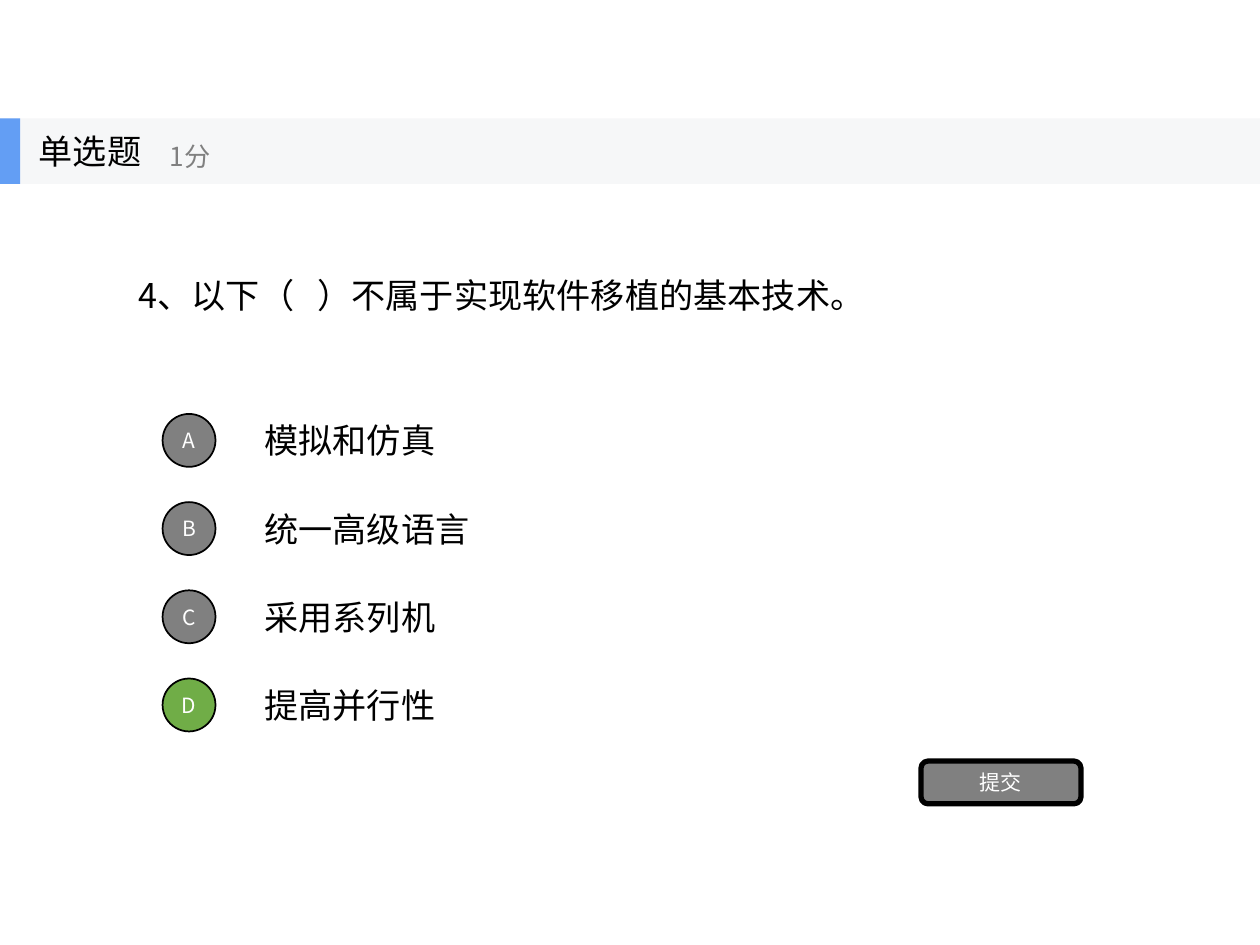
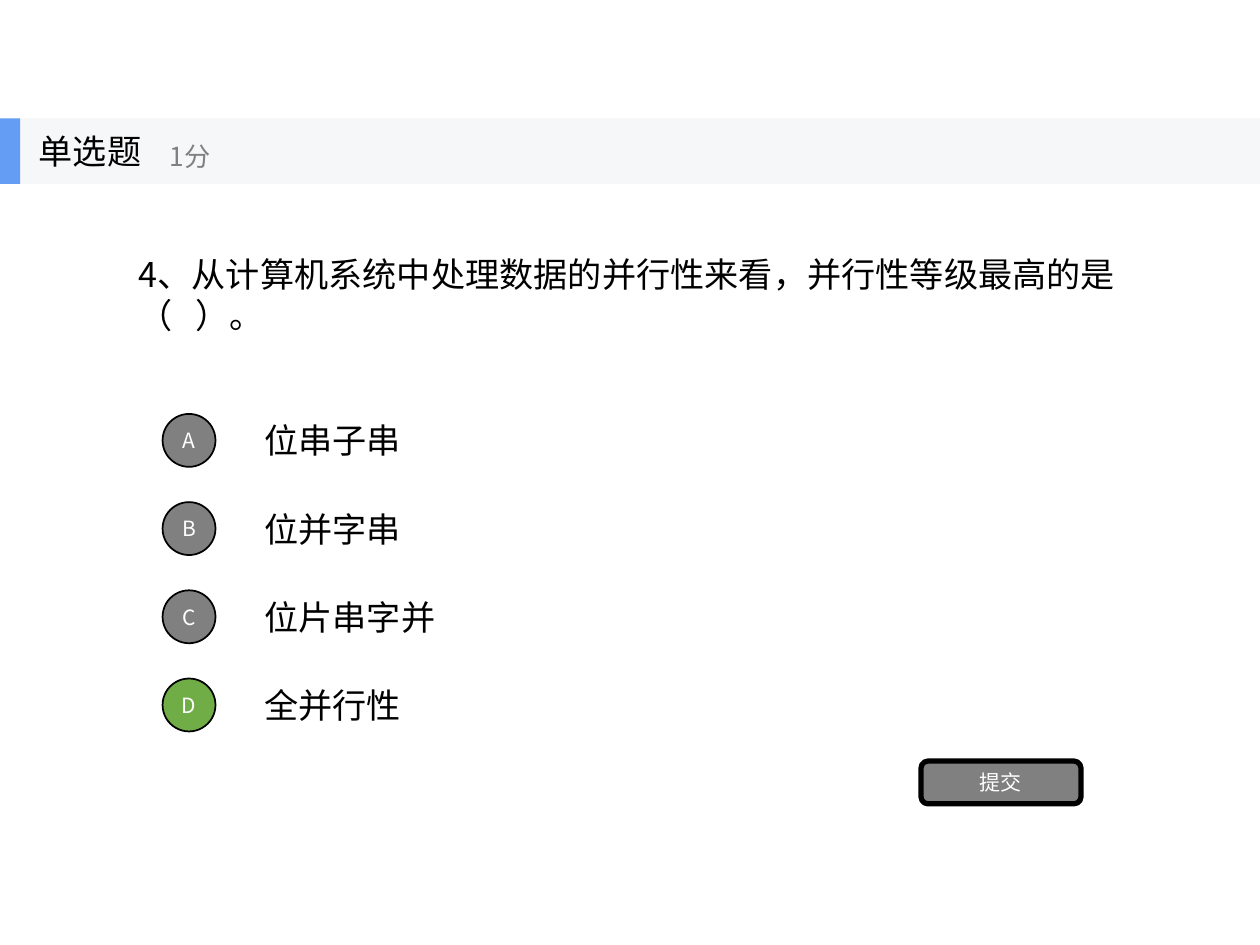
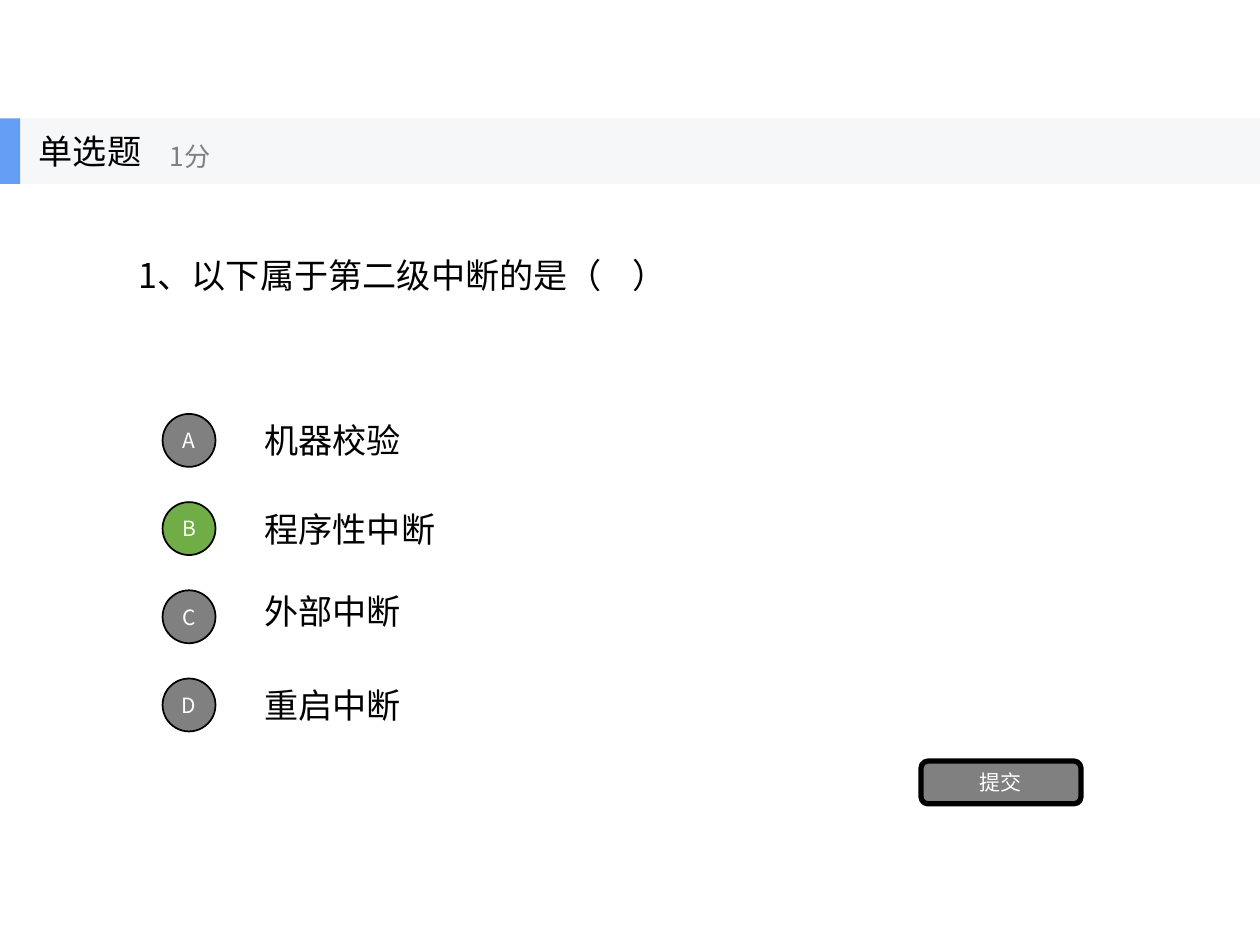
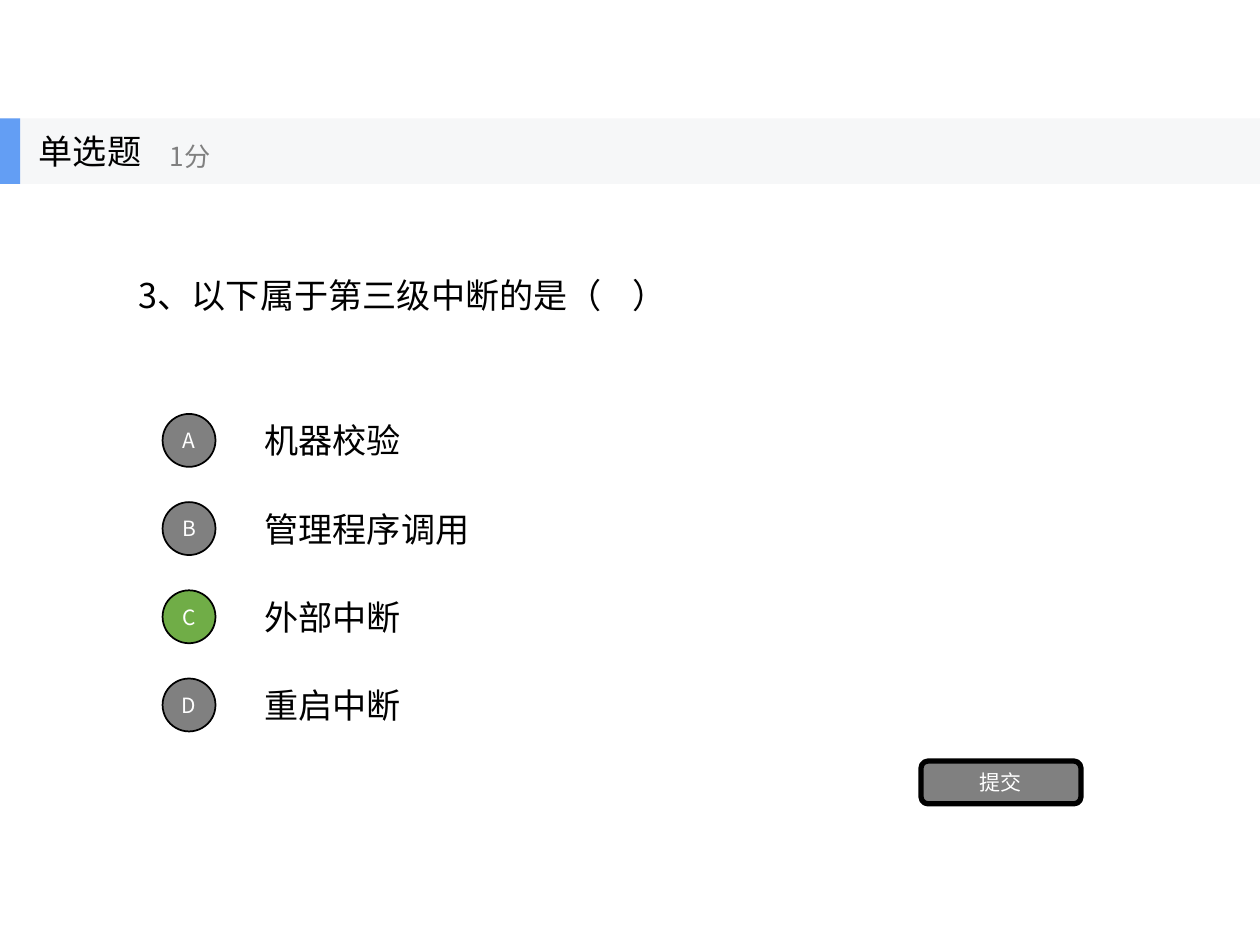
from dataclasses import dataclass, field

from lxml import etree
from pptx import Presentation
from pptx.dml.color import RGBColor
from pptx.enum.shapes import MSO_SHAPE as Preset
from pptx.enum.text import MSO_ANCHOR as Anchor, MSO_AUTO_SIZE as AutoSize, PP_ALIGN as Align
from pptx.oxml.ns import qn
from pptx.util import Inches, Pt

BLACK = RGBColor(0x00, 0x00, 0x00)
WHITE = RGBColor(0xFF, 0xFF, 0xFF)
GRAY = RGBColor(0x80, 0x80, 0x80)
GREEN = RGBColor(0x70, 0xAD, 0x47)
BLUE = RGBColor(0x63, 0x9E, 0xF4)
BAND = RGBColor(0xF6, 0xF7, 0xF8)

FONT = "Noto Sans CJK SC"
BODY_SIZE, POINTS_SIZE, LABEL_SIZE = 19.5, 15, 12
TITLE_ONLY = 5

SLIDE_WIDTH, SLIDE_HEIGHT = 10, 7.5
BAND_BOX = (0, 0.94, SLIDE_WIDTH, 0.52)
QUESTION_BOX = (1, 1.46, 8, 1.76)
OPTIONS_BOX = (1.29, 3.23, 7.71, 2.63)
BUTTON_BOX = (7.31, 6.04, 1.27, 0.34)
ROW_PITCH, ROW_HEIGHT, CIRCLE = 0.7, 0.53, 0.42


@dataclass
class Question:
    text: str
    options: tuple
    answer: str
    raised_by: float = 0  # how far the text sits above the middle of its box
    option_shifts: dict = field(default_factory=dict)


QUESTIONS = (
    Question("4、以下（   ）不属于实现软件移植的基本技术。",
             ("模拟和仿真", "统一高级语言", "采用系列机", "提高并行性"), "D"),
    Question("4、从计算机系统中处理数据的并行性来看，并行性等级最高的是（   ）。",
             ("位串子串", "位并字串", "位片串字并", "全并行性"), "D"),
    Question("1、以下属于第二级中断的是（    ）",
             ("机器校验", "程序性中断", "外部中断", "重启中断"), "B",
             raised_by=0.16, option_shifts={"C": -0.05}),
    Question("3、以下属于第三级中断的是（    ）",
             ("机器校验", "管理程序调用", "外部中断", "重启中断"), "C"),
)


def write(shape, text, size, color=BLACK, align=Align.LEFT):
    frame = shape.text_frame
    frame.word_wrap = True
    frame.auto_size = AutoSize.NONE
    frame.vertical_anchor = Anchor.MIDDLE
    frame.text = text
    paragraph = frame.paragraphs[0]
    paragraph.alignment = align
    font = paragraph.font
    font.name, font.size = FONT, Pt(size)
    font.color.rgb = color
    # Chinese characters take their font from a:ea
    defaults = paragraph._p.pPr.find(qn("a:defRPr"))
    etree.SubElement(defaults, qn("a:ea"), typeface=FONT)


def add_text(shapes, box, text, size, color=BLACK):
    write(shapes.add_textbox(*map(Inches, box)), text, size, color)


def add_block(shapes, preset, box, fill, line_width=0):
    block = shapes.add_shape(preset, *map(Inches, box))
    block.shadow.inherit = False
    block.fill.solid()
    block.fill.fore_color.rgb = fill
    if line_width:
        block.line.color.rgb = BLACK
        block.line.width = Pt(line_width)
    else:
        block.line.fill.background()
    return block


def add_label(shapes, preset, box, text, fill, line_width):
    """Add an outlined shape with a small white centred label."""
    label = add_block(shapes, preset, box, fill, line_width)
    frame = label.text_frame
    frame.margin_left = frame.margin_right = 0
    frame.margin_top = frame.margin_bottom = 0
    write(label, text, LABEL_SIZE, WHITE, Align.CENTER)


def place_question(slide, box, question):
    title = slide.shapes.title
    title.left, title.top, title.width, title.height = map(Inches, box)
    title.text_frame.margin_bottom = Inches(0.05 + 2 * question.raised_by)
    write(title, question.text, BODY_SIZE)


def add_options(slide, box, question):
    left, top, width, _ = box
    text_offset = 0.71
    for row, (letter, text) in enumerate(zip("ABCD", question.options)):
        row_top = top + row * ROW_PITCH
        text_top = row_top + question.option_shifts.get(letter, 0)
        add_text(slide.shapes, (left + text_offset, text_top, width - text_offset, ROW_HEIGHT),
                 text, BODY_SIZE)
        circle_top = row_top + (ROW_HEIGHT - CIRCLE) / 2
        add_label(slide.shapes, Preset.OVAL, (left, circle_top, CIRCLE, CIRCLE), letter,
                  GREEN if letter == question.answer else GRAY, 1)


def add_header_band(slide, box):
    left, top, width, height = box
    shapes = slide.shapes.add_group_shape().shapes
    add_block(shapes, Preset.RECTANGLE, box, BAND)
    add_block(shapes, Preset.RECTANGLE, (left, top, 0.16, height), BLUE)
    add_text(shapes, (left + 0.21, top, 1.56, height), "单选题", BODY_SIZE)
    add_text(shapes, (left + 1.25, top + 0.09, 1.88, 0.42), "1分", POINTS_SIZE, GRAY)


def add_question_slide(presentation, question):
    slide = presentation.slides.add_slide(presentation.slide_layouts[TITLE_ONLY])
    place_question(slide, QUESTION_BOX, question)
    add_options(slide, OPTIONS_BOX, question)
    add_label(slide.shapes, Preset.ROUNDED_RECTANGLE, BUTTON_BOX, "提交", GRAY, 3)
    add_header_band(slide, BAND_BOX)


def main():
    presentation = Presentation()
    presentation.slide_width = Inches(SLIDE_WIDTH)
    presentation.slide_height = Inches(SLIDE_HEIGHT)
    for question in QUESTIONS:
        add_question_slide(presentation, question)
    presentation.save("out.pptx")


if __name__ == "__main__":
    main()
